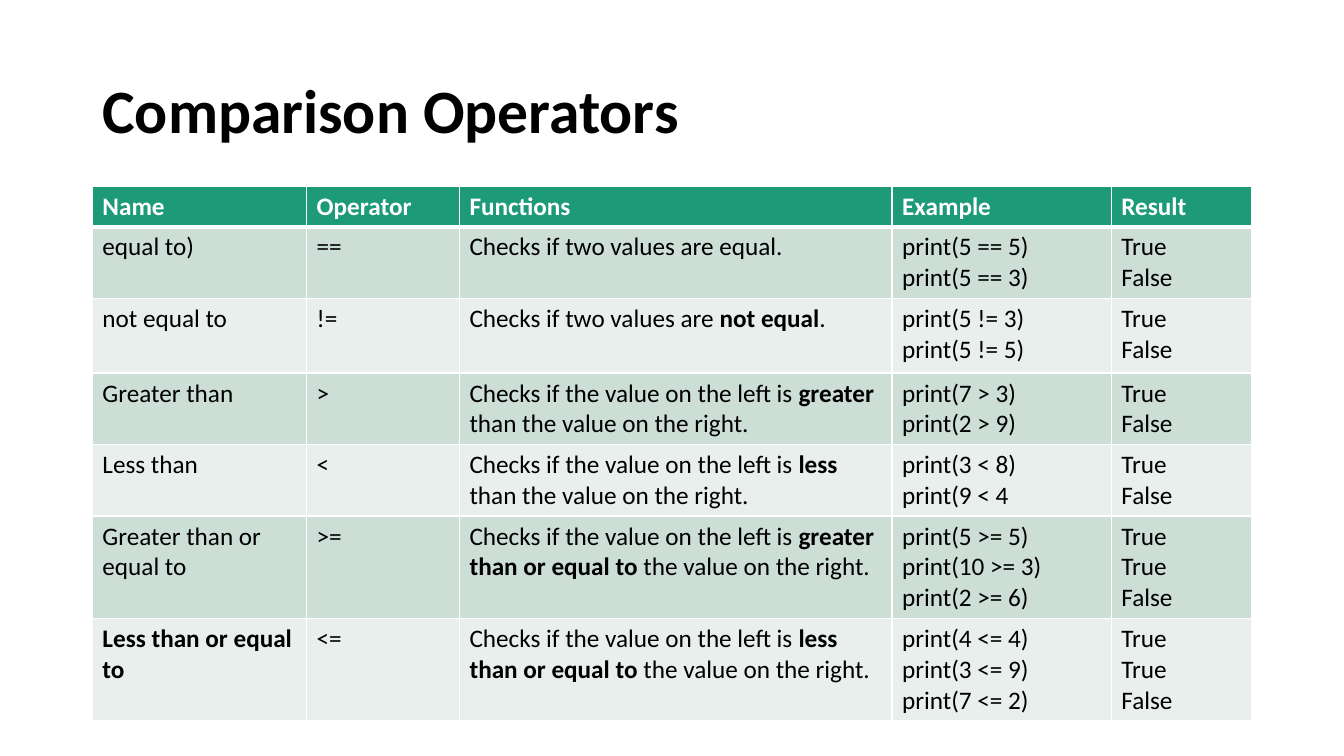
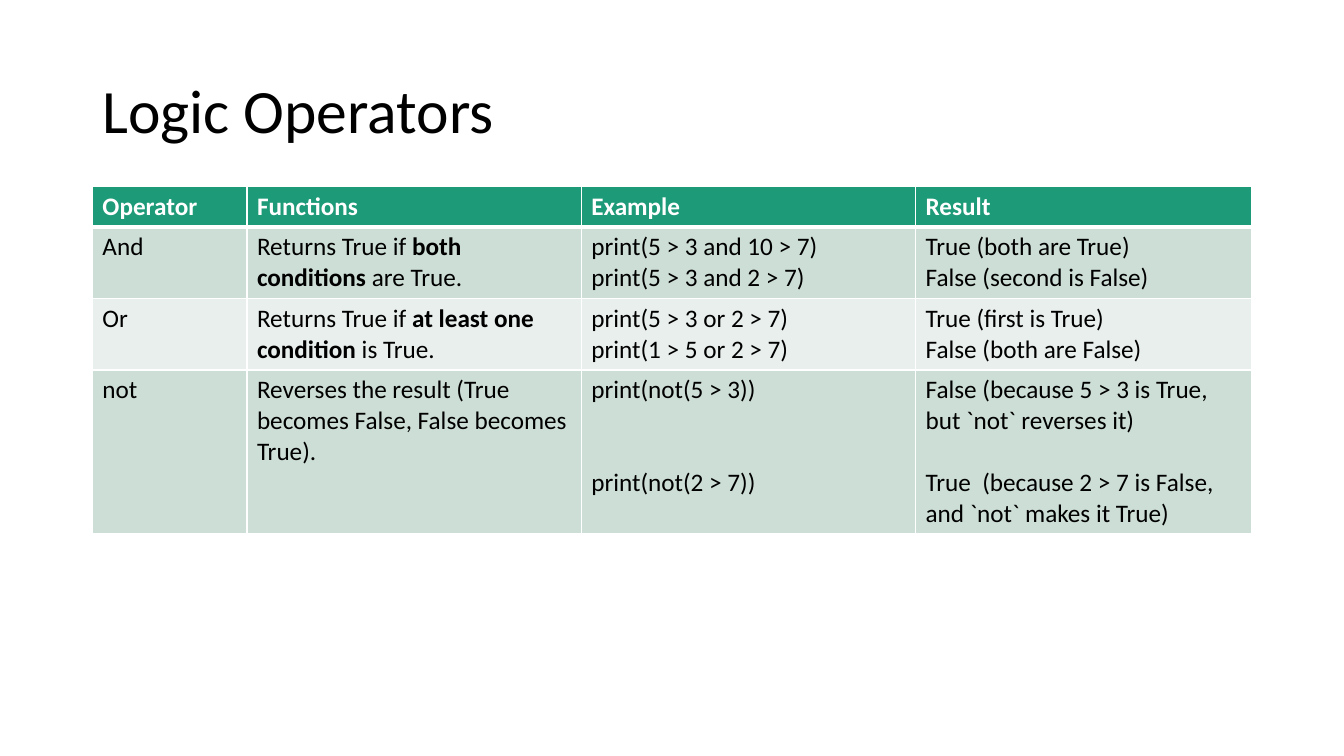
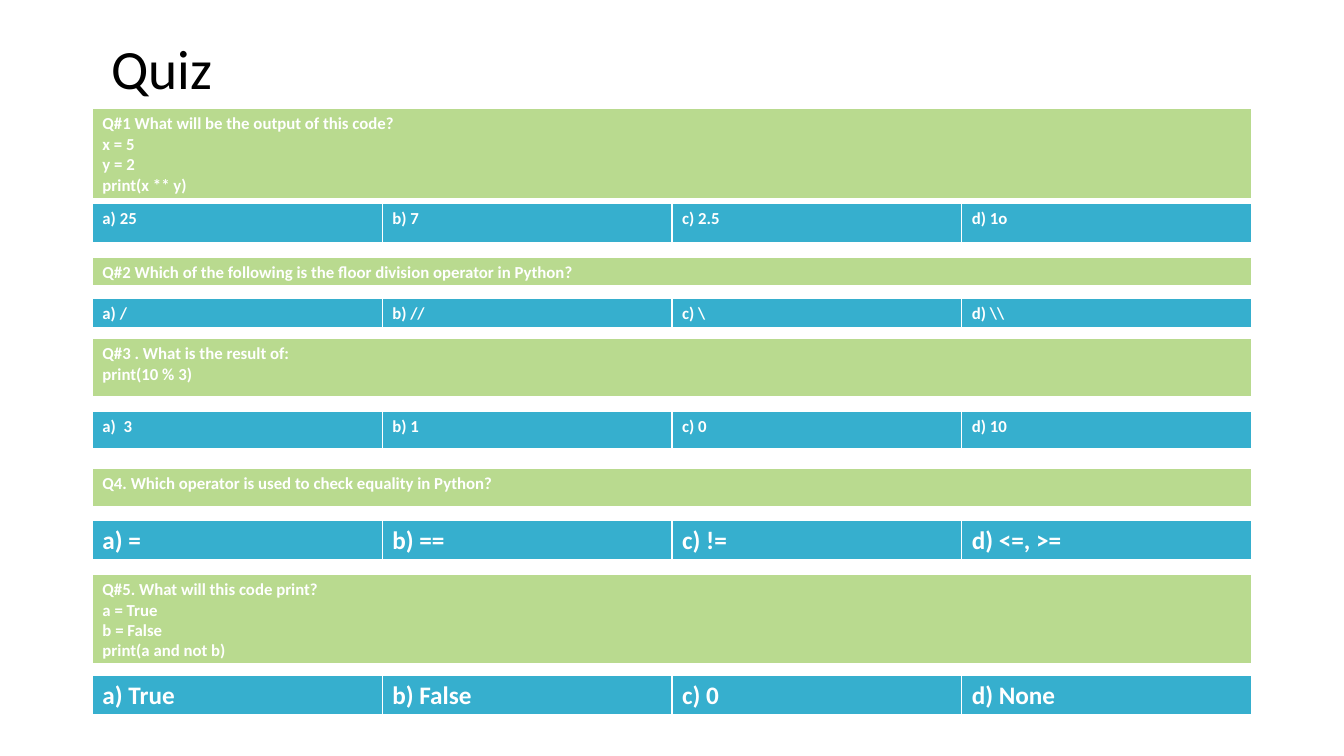
from dataclasses import dataclass

from lxml.etree import SubElement as Sub
from pptx import Presentation
from pptx.dml.color import RGBColor
from pptx.enum.text import MSO_ANCHOR as Anchor
from pptx.oxml.ns import qn
from pptx.util import Inches, Pt


@dataclass(frozen=True)
class Theme:
    font: str = "Calibri"
    ink: str = "000000"
    white: str = "FFFFFF"
    header: str = "1D9A78"
    bands: tuple = ("CDDED6", "E8EFEC")
    question: str = "B9DA8F"
    answer: str = "36AFCE"
    title: float = 44
    quiz_title: float = 39.6
    body: float = 18
    small: float = 12
    thin: float = 1
    thick: float = 3


T = Theme()

# Grid: 160 columns by 75 rows, content in the middle 138 columns
SLIDE_W, SLIDE_H = Inches(13.33), Inches(7.5)
LEFT, WIDTH = 11, 138
TABLE_TOP = 18.5
LINE = 22  # points taken by one line of body text


def col(n):
    return round(SLIDE_W * n / 160)


def row(n):
    return round(SLIDE_H * n / 75)


# Text: a line break starts a paragraph, bars switch bold
def write(tf, text, size=T.body, color=T.ink, bold=False, gap=0, spacing=None):
    tf.word_wrap = True
    for i, line in enumerate(text.split("\n")):
        p = tf.paragraphs[0] if i == 0 else tf.add_paragraph()
        p.line_spacing = spacing
        p.space_before = Pt(gap if i else 0)
        for j, part in enumerate(line.split("|")):
            if part:
                r = p.add_run()
                r.text = part
                r.font.name, r.font.size = T.font, Pt(size)
                r.font.bold = bold != (j % 2 == 1)
                r.font.color.rgb = RGBColor.from_string(color)


def add_title(s, text, left=LEFT, top=4, height=14.5, **fmt):
    box = s.shapes.add_textbox(col(left), row(top), col(WIDTH), row(height))
    box.text_frame.vertical_anchor = Anchor.MIDDLE
    write(box.text_frame, text, spacing=0.9, **{"size": T.title, **fmt})


# Tables
def style_cell(cell, fill, top, bottom):
    tc_pr = cell._tc.get_or_add_tcPr()
    for side, width in zip("LRTB", (T.thin, T.thin, top, bottom)):
        ln = Sub(tc_pr, qn(f"a:ln{side}"), w=str(Pt(width)))
        Sub(Sub(ln, qn("a:solidFill")), qn("a:srgbClr"), val=T.white)
    cell.fill.solid()
    cell.fill.fore_color.rgb = RGBColor.from_string(fill)


def add_grid(s, top, widths, heights):
    frame = s.shapes.add_table(len(heights), len(widths), col(LEFT), row(top),
                               col(sum(widths)), row(sum(heights)))
    table = frame.table
    table.first_row = table.horz_banding = False
    for c, w in zip(table.columns, widths):
        c.width = col(w)
    for r, h in zip(table.rows, heights):
        r.height = row(h)
    return table


def add_banded_table(s, widths, heights, rows, gaps=None):
    """gaps maps (row, column) to the points between its paragraphs."""
    table = add_grid(s, TABLE_TOP, widths, heights)
    for i, texts in enumerate(rows):
        head = i == 0
        fill = T.header if head else T.bands[(i - 1) % 2]
        for j, text in enumerate(texts):
            cell = table.cell(i, j)
            style_cell(cell, fill, T.thick if i == 1 else T.thin,
                       T.thick if head else T.thin)
            write(cell.text_frame, text, color=T.white if head else T.ink,
                  bold=head, gap=(gaps or {}).get((i, j), 0))


def add_strip(s, top, height, texts, fill, size=T.small):
    table = add_grid(s, top, [WIDTH / len(texts)] * len(texts), [height])
    for j, text in enumerate(texts):
        cell = table.cell(0, j)
        style_cell(cell, fill, T.thin, T.thick)
        write(cell.text_frame, text, size=size, color=T.white, bold=True)


# Content
COMPARISONS = [
    ("Name", "Operator", "Functions", "Example", "Result"),
    ("equal to)", "==", "Checks if two values are equal.",
     "print(5 == 5)\nprint(5 == 3)", "True\nFalse"),
    ("not equal to", "!=", "Checks if two values are |not equal|.",
     "print(5 != 3)\nprint(5 != 5)", "True\nFalse"),
    ("Greater than", ">",
     "Checks if the value on the left is |greater| than the value on the right.",
     "print(7 > 3)\nprint(2 > 9)", "True\nFalse"),
    ("Less than", "<",
     "Checks if the value on the left is |less| than the value on the right.",
     "print(3 < 8)\nprint(9 < 4", "True\nFalse"),
    ("Greater than or equal to", ">=",
     "Checks if the value on the left is |greater than or equal to| "
     "the value on the right.",
     "print(5 >= 5)\nprint(10 >= 3)\nprint(2 >= 6)", "True\nTrue\nFalse"),
    ("|Less than or equal to|", "<=",
     "Checks if the value on the left is |less than or equal to| "
     "the value on the right.",
     "print(4 <= 4)\nprint(3 <= 9)\nprint(7 <= 2)", "True\nTrue\nFalse"),
]

LOGIC = [
    ("Operator", "Functions", "Example", "Result"),
    ("And", "Returns True if |both conditions| are True.",
     "print(5 > 3 and 10 > 7)\nprint(5 > 3 and 2 > 7)",
     "True (both are True)\nFalse (second is False)"),
    ("Or", "Returns True if |at least one condition| is True.",
     "print(5 > 3 or 2 > 7)\nprint(1 > 5 or 2 > 7)",
     "True (first is True)\nFalse (both are False)"),
    ("not", "Reverses the result (True becomes False, False becomes True).",
     "print(not(5 > 3))\nprint(not(2 > 7))",
     "False (because 5 > 3 is True, but `not` reverses it)\n"
     "True  (because 2 > 7 is False, and `not` makes it True)"),
]

# Question top, height, text; answer top, height, texts, type size
QUIZ = [
    (10.8, 9, "Q#1 What will be the output of this code?\nx = 5\ny = 2\nprint(x ** y)",
     20.2, 4, ("a) 25", "b) 7", "c) 2.5", "d) 1o"), T.small),
    (25.5, 3, "Q#2 Which of the following is the floor division operator in Python?",
     29.6, 3, ("a) /", "b) //", "c) \\", "d) \\\\"), T.small),
    (33.6, 5.9, "Q#3 . What is the result of:\nprint(10 % 3)",
     40.8, 3.8, ("a)  3", "b) 1", "c) 0", "d) 10"), T.small),
    (46.5, 3.9, "Q4. Which operator is used to check equality in Python?",
     51.6, 4, ("a) =", "b) ==", "c) !=", "d) <=, >="), T.body),
    (57, 9, "Q#5. What will this code print?\na = True\nb = False\nprint(a and not b)",
     67, 4, ("a) True", "b) False", "c) 0", "d) None"), T.body),
]


# Slides
def comparison_slide(s):
    add_title(s, "Comparison Operators", bold=True)
    add_banded_table(s, (25.5, 18.2, 51.5, 26.1, 16.7),
                     (4, 7.1, 7.4, 7.1, 7.1, 10.2, 10.1), COMPARISONS)


def logic_slide(s):
    add_title(s, "Logic Operators")
    add_banded_table(s, (18.4, 39.8, 39.8, 40), (4, 7.1, 7.1, 16.2), LOGIC,
                     gaps={(3, 2): 2 * LINE, (3, 3): LINE})


def quiz_slide(s):
    add_title(s, "Quiz", left=12.1, top=4.6, height=5, size=T.quiz_title)
    for q_top, q_height, question, a_top, a_height, answers, size in QUIZ:
        add_strip(s, q_top, q_height, [question], T.question)
        add_strip(s, a_top, a_height, answers, T.answer, size)


def main():
    prs = Presentation()
    prs.slide_width, prs.slide_height = SLIDE_W, SLIDE_H
    for build in (comparison_slide, logic_slide, quiz_slide):
        build(prs.slides.add_slide(prs.slide_layouts[6]))
    prs.save("out.pptx")


if __name__ == "__main__":
    main()
